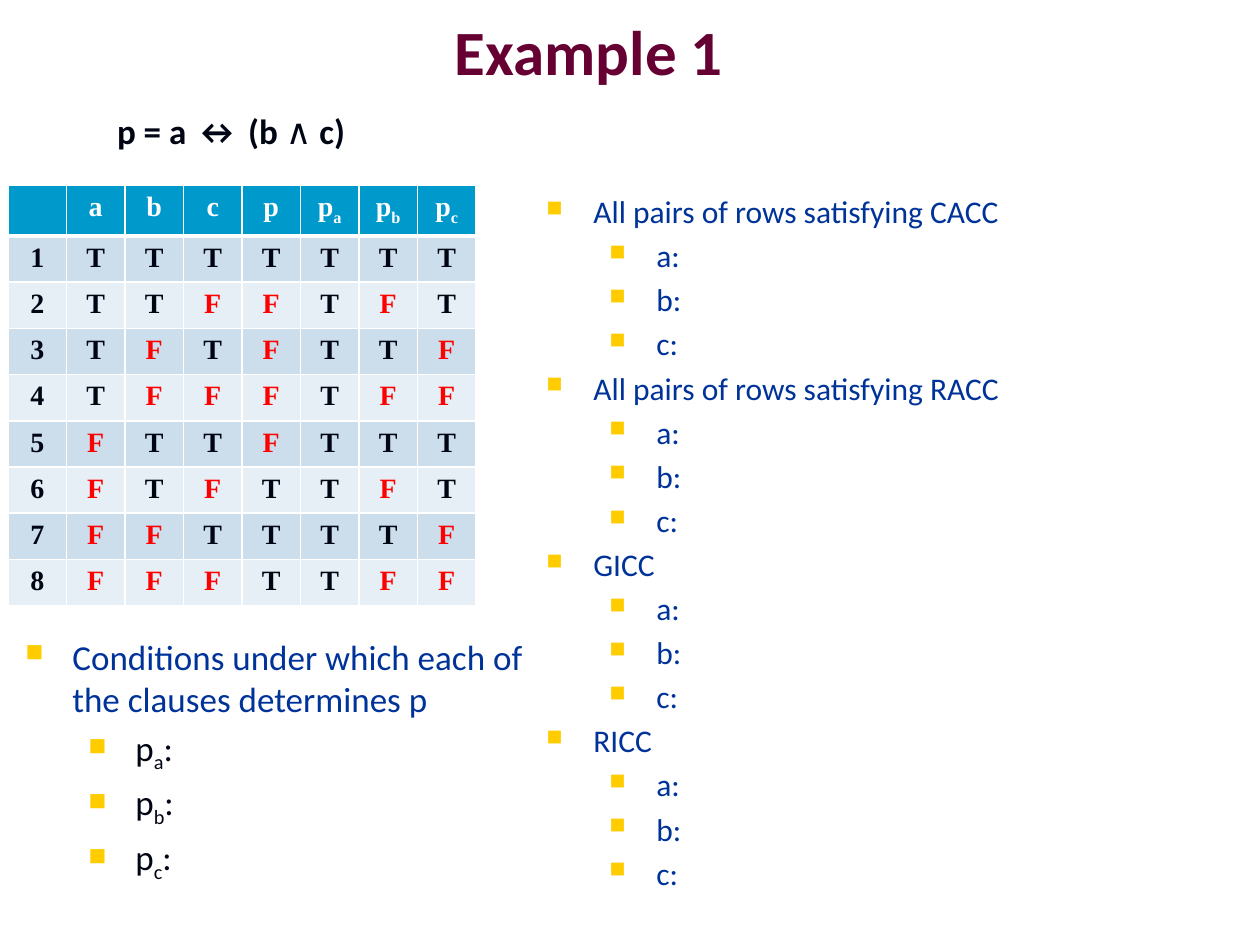
"""Build the Example 1 slide with its truth table and coverage criteria."""
from dataclasses import dataclass

from pptx import Presentation, util as u
from pptx.dml.color import RGBColor
from pptx.enum import text
from pptx.oxml import parse_xml
from pptx.oxml.ns import nsdecls

EMU_PER_PX = 914400 / 126
COLORS = {
    "title": "660033",
    "ink": "000514",
    "body": "003399",
    "bullet": "FFCC00",
    "false": "FF0000",
    "header": "0099CC",
    "odd_row": "CCDEEC",
    "even_row": "E7EFF6",
    "white": "FFFFFF",
}


@dataclass
class Box:
    left: int
    top: int
    width: int
    height: int

    def lengths(self) -> list[u.Emu]:
        return [px(value) for value in (self.left, self.top, self.width, self.height)]


@dataclass
class Style:
    size: int
    color: str
    font: str = "Calibri"
    bold: bool = False


@dataclass
class Item:
    label: str
    style: Style
    level: int = 0


def px(value: int) -> u.Emu:
    return u.Emu(round(value * EMU_PER_PX))


def format_run(run, style: Style) -> None:
    run.font.name = style.font
    run.font.size = u.Pt(style.size)
    run.font.bold = style.bold
    run.font.color.rgb = RGBColor.from_string(COLORS[style.color])


def write(paragraph, label: str, style: Style) -> None:
    """Write a label; the letter after an underscore becomes a subscript."""
    base, _, rest = label.partition("_")
    paragraph.text = base
    for piece in filter(None, (rest[:1], rest[1:])):
        paragraph.add_run().text = piece
    for run in paragraph.runs:
        format_run(run, style)
    if rest:
        paragraph.runs[1]._r.get_or_add_rPr().set("baseline", "-25000")


def add_bullet(paragraph, level: int) -> None:
    properties = paragraph._p.get_or_add_pPr()
    properties.set("marL", str(px(47 + 63 * level)))
    properties.set("indent", str(-px(47)))
    for child in (
        '<a:spcBef {}><a:spcPct val="20000"/></a:spcBef>',
        '<a:buClr {}><a:srgbClr val="' + COLORS["bullet"] + '"/></a:buClr>',
        '<a:buSzPct {} val="70000"/>',
        '<a:buChar {} char="■"/>',
    ):
        properties.append(parse_xml(child.format(nsdecls("a"))))


def add_list(slide, box: Box, items: list[Item]) -> None:
    frame = slide.shapes.add_textbox(*box.lengths()).text_frame
    frame.word_wrap = True
    for index, item in enumerate(items):
        paragraph = frame.add_paragraph() if index else frame.paragraphs[0]
        paragraph.level = item.level
        write(paragraph, item.label, item.style)
        add_bullet(paragraph, item.level)


def add_borders(cell, bottom: int) -> None:
    properties = cell._tc.get_or_add_tcPr()
    for side, points in (("L", 1), ("R", 1), ("T", 1), ("B", bottom)):
        properties.append(parse_xml(
            f'<a:ln{side} {nsdecls("a")} w="{u.Pt(points)}"><a:solidFill>'
            f'<a:srgbClr val="{COLORS["white"]}"/></a:solidFill></a:ln{side}>'
        ))


def add_truth_table(slide, box: Box, rows: list[list[str]]) -> None:
    table = slide.shapes.add_table(len(rows), len(rows[0]), *box.lengths()).table
    for row_index, labels in enumerate(rows):
        is_header = row_index == 0
        table.rows[row_index].height = px(50 if is_header else 46)
        fill = "header" if is_header else "odd_row" if row_index % 2 else "even_row"
        for column_index, label in enumerate(labels):
            cell = table.cell(row_index, column_index)
            add_borders(cell, 3 if is_header else 1)
            cell.fill.solid()
            cell.fill.fore_color.rgb = RGBColor.from_string(COLORS[fill])
            color = "white" if is_header else "false" if label == "F" else "ink"
            paragraph = cell.text_frame.paragraphs[0]
            paragraph.alignment = text.PP_ALIGN.CENTER
            write(paragraph, label, Style(16, color, "Times New Roman", True))


def add_title(slide, box: Box, label: str) -> None:
    title = slide.shapes.title
    title.left, title.top, title.width, title.height = box.lengths()
    title.text_frame.vertical_anchor = text.MSO_ANCHOR.MIDDLE
    paragraph = title.text_frame.paragraphs[0]
    paragraph.alignment = text.PP_ALIGN.CENTER
    write(paragraph, label, Style(36, "title", bold=True))


def add_formula(slide, box: Box) -> None:
    frame = slide.shapes.add_textbox(*box.lengths()).text_frame
    frame.word_wrap = False
    frame.auto_size = text.MSO_AUTO_SIZE.SHAPE_TO_FIT_TEXT
    paragraph = frame.paragraphs[0]
    paragraph.alignment = text.PP_ALIGN.CENTER
    for piece, bold in (("p = a ↔ (b ", True), ("∧", False), (" c) ", True)):
        run = paragraph.add_run()
        run.text = piece
        format_run(run, Style(20, "ink", bold=bold))


def main() -> None:
    presentation = Presentation()
    presentation.slide_width, presentation.slide_height = px(1260), px(945)
    slide = presentation.slides.add_slide(presentation.slide_layouts[5])

    add_title(slide, Box(370, 11, 438, 78), "Example 1")
    add_formula(slide, Box(102, 103, 258, 55))

    criteria_style = Style(18, "body")
    criteria = []
    for heading in ("All pairs of rows satisfying CACC",
                    "All pairs of rows satisfying RACC", "GICC", "RICC"):
        criteria.append(Item(heading, criteria_style))
        criteria += [Item(f"{clause}:", criteria_style, 1) for clause in "abc"]
    add_list(slide, Box(534, 186, 713, 620), criteria)

    values = ("TTTTTTT", "TTFFTFT", "TFTFTTF", "TFFFTFF",
              "FTTFTTT", "FTFTTFT", "FFTTTTF", "FFFTTFF")
    rows = [["", "a", "b", "c", "p", "p_a", "p_b", "p_c"]]
    rows += [[str(number), *row] for number, row in enumerate(values, 1)]
    add_truth_table(slide, Box(8, 185, 468, 418), rows)

    conditions = [Item("Conditions under which each of the clauses determines p",
                       Style(20, "body"))]
    conditions += [Item(f"p_{clause}:", Style(20, "ink"), 1) for clause in "abc"]
    add_list(slide, Box(13, 629, 534, 239), conditions)

    presentation.save("out.pptx")


if __name__ == "__main__":
    main()
